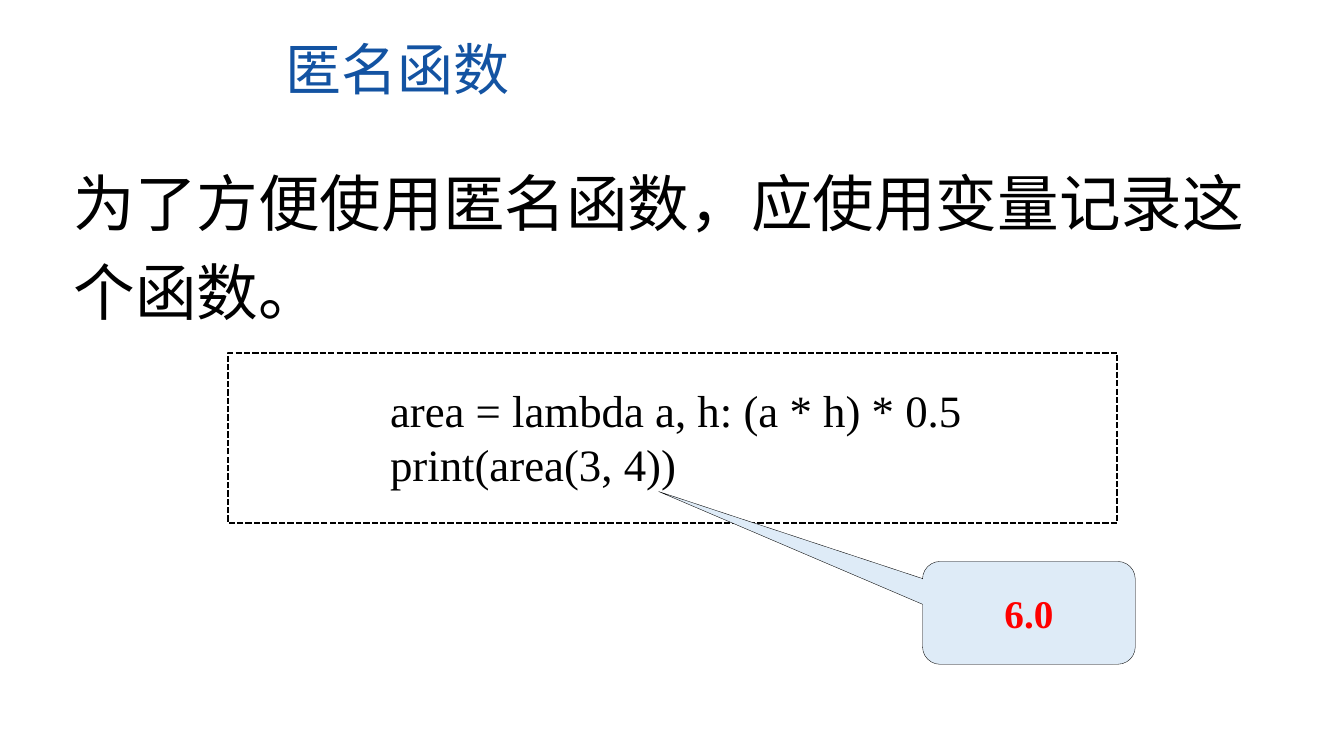
from dataclasses import dataclass

import pptx
import pptx.dml.color
import pptx.enum.dml
import pptx.enum.shapes
import pptx.enum.text
import pptx.oxml
import pptx.oxml.ns
import pptx.shapes.autoshape
import pptx.slide
import pptx.text.text
import pptx.util

Inches = pptx.util.Inches
RGBColor = pptx.dml.color.RGBColor
Align = pptx.enum.text.PP_ALIGN
Anchor = pptx.enum.text.MSO_ANCHOR
Preset = pptx.enum.shapes.MSO_SHAPE

BLUE = RGBColor(0x13, 0x53, 0xA2)
BLACK = RGBColor(0, 0, 0)
RED = RGBColor(0xFF, 0, 0)
PALE_BLUE = RGBColor(0xDE, 0xEB, 0xF7)
CHINESE_FONT = "Noto Sans CJK SC"
CODE_FONT = "Times New Roman"
TITLE_ONLY = 5


@dataclass(frozen=True)
class Area:
    left: float
    top: float
    width: float
    height: float

    def lengths(self) -> tuple[int, int, int, int]:
        return (Inches(self.left), Inches(self.top),
                Inches(self.width), Inches(self.height))


def write_text(frame: pptx.text.text.TextFrame, text: str, *, size: int,
               font: str, color: RGBColor, bold: bool = False,
               align: Align = Align.LEFT, anchor: Anchor = Anchor.TOP,
               spacing: float = 1.0) -> None:
    """Fill a frame, one paragraph for each line of text."""
    frame.word_wrap = True
    frame.auto_size = pptx.enum.text.MSO_AUTO_SIZE.NONE
    frame.vertical_anchor = anchor
    frame.text = text
    for para in frame.paragraphs:
        para.alignment = align
        para.line_spacing = spacing
        for span in para.runs:
            span.font.size = pptx.util.Pt(size)
            span.font.name = font
            span.font.bold = bold
            span.font.color.rgb = color
            east_asian = pptx.oxml.parse_xml(
                f'<a:ea {pptx.oxml.ns.nsdecls("a")} typeface="{font}"/>')
            span.font._element.find(pptx.oxml.ns.qn("a:latin")).addnext(east_asian)


def add_text(page: pptx.slide.Slide, area: Area, text: str, *, size: int,
             font: str, spacing: float = 1.0) -> None:
    box = page.shapes.add_textbox(*area.lengths())
    write_text(box.text_frame, text, size=size, font=font, color=BLACK,
               spacing=spacing)


def add_outlined(page: pptx.slide.Slide, preset: Preset, area: Area,
                 line_width: float) -> pptx.shapes.autoshape.Shape:
    shape = page.shapes.add_shape(preset, *area.lengths())
    shape.shadow.inherit = False
    shape.fill.background()
    shape.line.color.rgb = BLACK
    shape.line.width = pptx.util.Pt(line_width)
    return shape


def main() -> None:
    deck = pptx.Presentation()
    deck.slide_width, deck.slide_height = Inches(13.33), Inches(7.5)
    page = deck.slides.add_slide(deck.slide_layouts[TITLE_ONLY])

    # Title and statement
    title = page.shapes.title
    title.left, title.top, title.width, title.height = Area(
        2.73, 0.29, 5.88, 0.77).lengths()
    write_text(title.text_frame, "匿名函数", size=40, font=CHINESE_FONT,
               color=BLUE, anchor=Anchor.MIDDLE)
    add_text(page, Area(0.63, 1.44, 12.29, 1.79),
             "为了方便使用匿名函数，应使用变量记录这个函数。",
             size=44, font=CHINESE_FONT, spacing=1.2)

    # Code in a dashed frame
    code_frame = add_outlined(page, Preset.RECTANGLE,
                              Area(2.26, 3.5, 8.82, 1.69), 1.5)
    code_frame.line.dash_style = pptx.enum.dml.MSO_LINE.SQUARE_DOT
    add_text(page, Area(3.77, 3.75, 6, 1.18),
             "area = lambda a, h: (a * h) * 0.5\nprint(area(3, 4))",
             size=32, font=CODE_FONT)

    # Callout with the printed result
    callout = add_outlined(page, Preset.ROUNDED_RECTANGULAR_CALLOUT,
                           Area(9.15, 5.57, 2.11, 1.02), 0.25)
    callout.fill.solid()
    callout.fill.fore_color.rgb = PALE_BLUE
    for index, value in enumerate((-1.74, -1.18, 0.17)):
        callout.adjustments[index] = value
    write_text(callout.text_frame, "6.0", size=28, font=CODE_FONT, color=RED,
               bold=True, align=Align.CENTER, anchor=Anchor.MIDDLE)

    deck.save("out.pptx")


if __name__ == "__main__":
    main()
